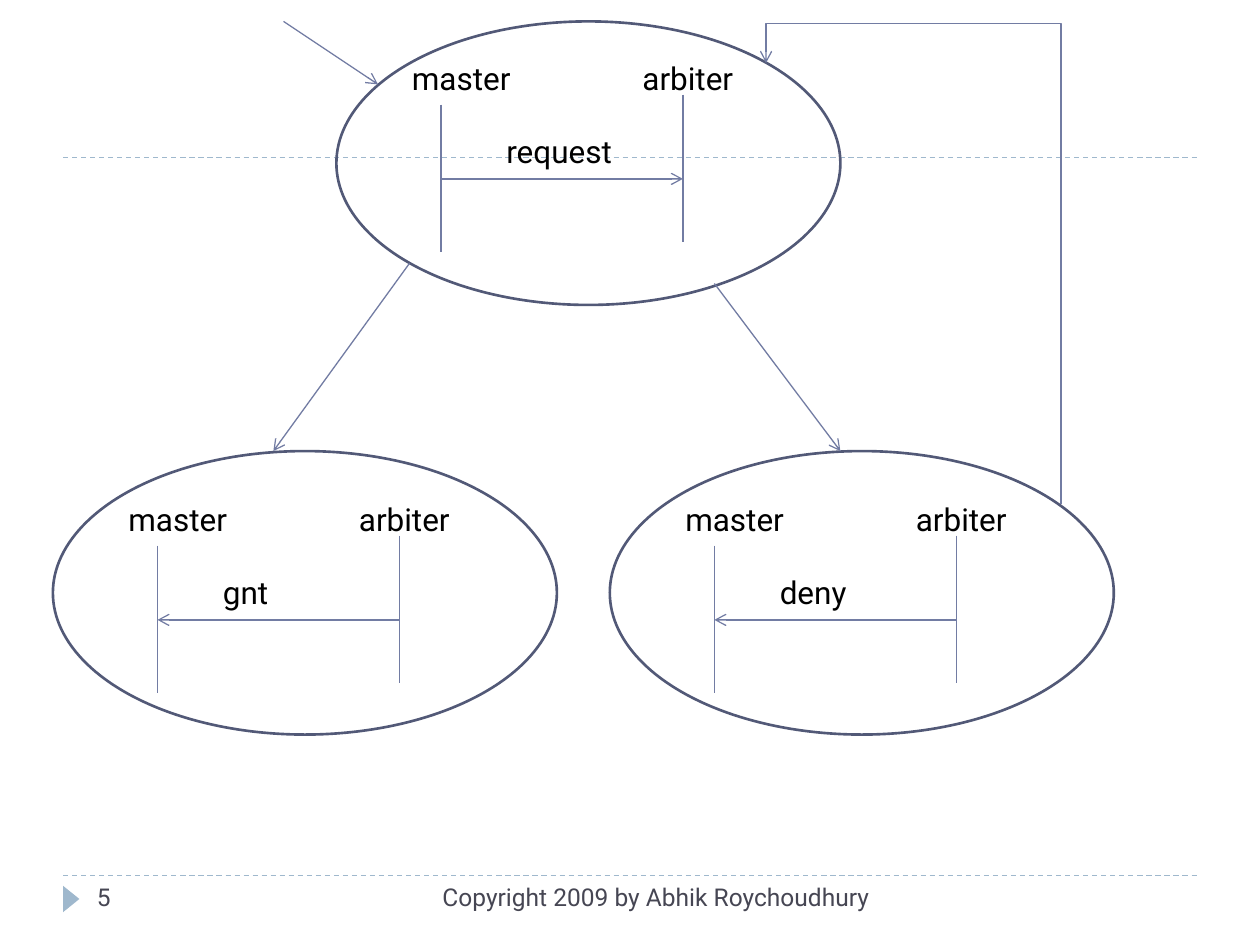
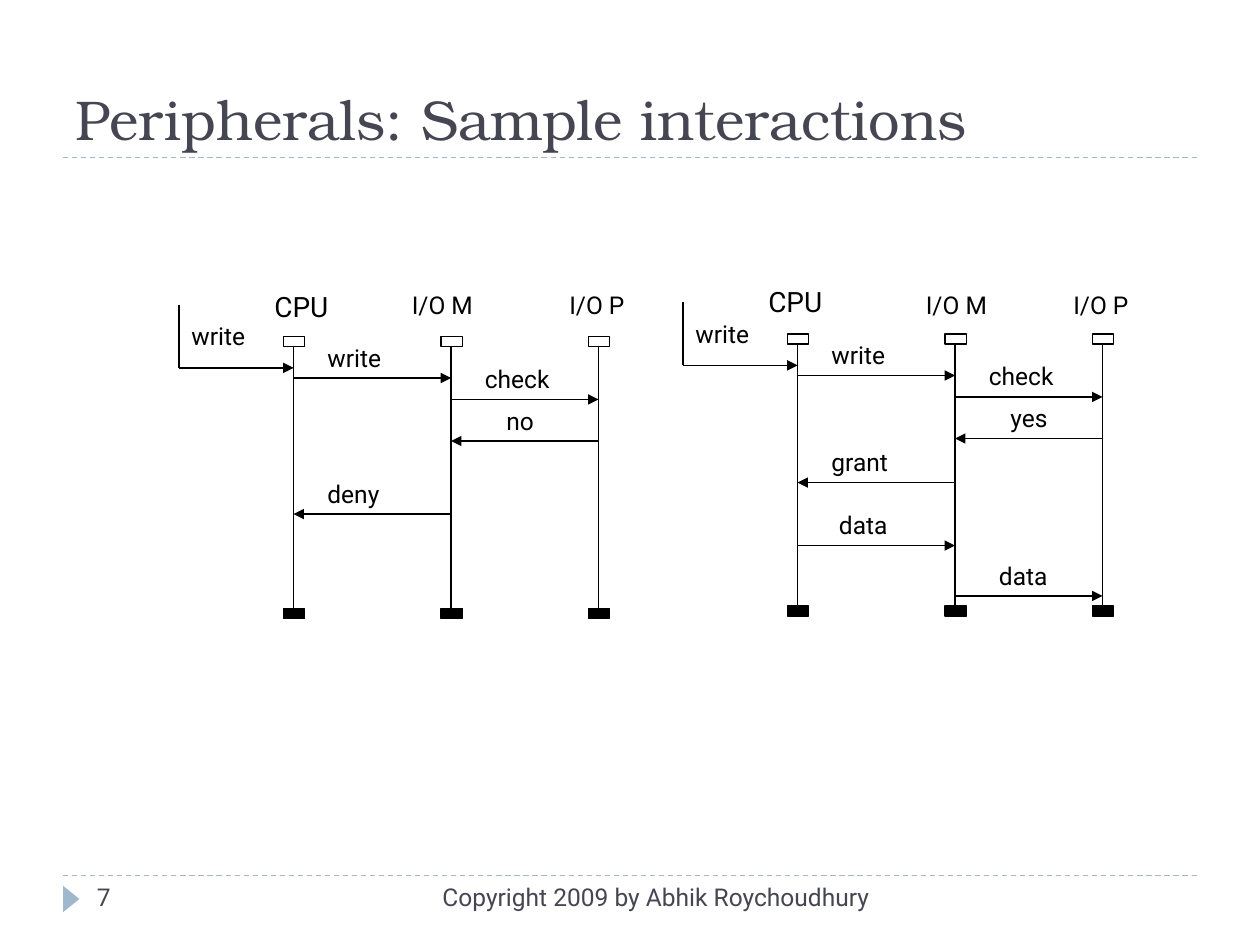
from lxml import etree
from pptx import Presentation
from pptx.dml.color import RGBColor
from pptx.enum.dml import MSO_LINE
from pptx.enum.shapes import MSO_CONNECTOR, MSO_SHAPE
from pptx.enum.text import MSO_ANCHOR, PP_ALIGN
from pptx.oxml.ns import qn
from pptx.util import Pt

PX = 9144
STRAIGHT, ELBOW = MSO_CONNECTOR.STRAIGHT, MSO_CONNECTOR.ELBOW
OVAL, RECTANGLE, TRIANGLE = MSO_SHAPE.OVAL, MSO_SHAPE.RECTANGLE, MSO_SHAPE.ISOSCELES_TRIANGLE
DASH = MSO_LINE.DASH
LEFT, RIGHT = PP_ALIGN.LEFT, PP_ALIGN.RIGHT
TOP, BOTTOM = MSO_ANCHOR.TOP, MSO_ANCHOR.BOTTOM
COLORS = {
    "ink": "000000",
    "heading": "464653",
    "accent": "9FB8CD",
    "arrow": "727CA3",
    "state": "525977",
}
BODY_FONT, TITLE_FONT = "Roboto", "TeX Gyre Bonum"


def color(name):
    return RGBColor.from_string(COLORS[name])


class SlideWriter:
    def __init__(self):
        self.deck = Presentation()
        self.deck.slide_width = 1000 * PX
        self.deck.slide_height = 750 * PX
        self.page = None

    def new_page(self, number, title=None):
        self.page = self.deck.slides.add_slide(self.deck.slide_layouts[6])
        for y in (695, 125):
            self.line((50, y), (950, y), "accent", dash=DASH)
        marker = self.shape(TRIANGLE, 46, 707, 21, 13, fill="accent")
        marker.rotation = 90
        if title:
            self.text(title, 50, 17, 900, 108, size=32, ink="heading",
                      font=TITLE_FONT, anchor=BOTTOM)
        self.text("Copyright 2009 by Abhik Roychoudhury", 317, 695, 383, 40,
                  ink="heading", align=RIGHT)
        self.text(str(number), 67, 695, 217, 40, ink="heading")

    def text(self, text, left, top, width, height=34, size=14, ink="ink",
             font=BODY_FONT, align=LEFT, anchor=TOP):
        box = self.page.shapes.add_textbox(left * PX, top * PX, width * PX, height * PX)
        frame = box.text_frame
        frame.word_wrap = True
        frame.vertical_anchor = anchor
        para = frame.paragraphs[0]
        para.alignment = align
        span = para.add_run()
        span.text = text
        span.font.name = font
        span.font.size = Pt(size)
        span.font.color.rgb = color(ink)

    def shape(self, kind, left, top, width, height, fill=None, outline=None, weight=0.75):
        shape = self.page.shapes.add_shape(kind, left * PX, top * PX, width * PX, height * PX)
        shape.shadow.inherit = False
        if fill:
            shape.fill.solid()
            shape.fill.fore_color.rgb = color(fill)
        else:
            shape.fill.background()
        if outline:
            shape.line.color.rgb = color(outline)
            shape.line.width = Pt(weight)
        else:
            shape.line.fill.background()
        return shape

    def line(self, start, end, ink, arrow=None, dash=None, kind=STRAIGHT):
        points = [round(value * PX) for value in (*start, *end)]
        connector = self.page.shapes.add_connector(kind, *points)
        connector.line.color.rgb = color(ink)
        connector.line.width = Pt(0.75)
        if dash:
            connector.line.dash_style = dash
        properties = connector._element.spPr
        if arrow:
            outline = properties.find(qn("a:ln"))
            etree.SubElement(outline, qn("a:tailEnd"), type=arrow)
        etree.SubElement(properties, qn("a:effectLst"))
        return connector

    def loop_back(self, start, end, peak, ink, arrow):
        (start_x, start_y), (end_x, end_y) = start, end
        center_x, center_y = (start_x + end_x) / 2, (start_y + end_y) / 2
        half_width, half_height = (start_y - end_y) / 2, (start_x - end_x) / 2
        connector = self.line((center_x - half_width, center_y + half_height),
                              (center_x + half_width, center_y - half_height),
                              ink, arrow, kind=ELBOW)
        properties = connector._element.spPr
        properties.find(qn("a:xfrm")).set("rot", "16200000")
        bend = round(100000 * (start_y - peak) / (start_y - end_y))
        guides = properties.find(qn("a:prstGeom")).find(qn("a:avLst"))
        etree.SubElement(guides, qn("a:gd"), name="adj1", fmla=f"val {bend}")

    def state(self, message, left, top, ellipse_top, reply=True):
        master, arbiter = left, left + 192
        self.line((master, top), (master, top + 117), "arrow")
        self.line((arbiter, top - 8), (arbiter, top + 109), "arrow")
        ends = [(master, top + 59), (arbiter, top + 59)]
        if reply:
            ends.reverse()
        self.line(*ends, "arrow", "arrow")
        for label, x, y in (("master", -33, -41), ("arbiter", 150, -41), (message, 42, 17)):
            self.text(label, left + x, top + y, 108, 40, size=18)
        self.shape(OVAL, left - 83, ellipse_top, 400, 225, outline="state", weight=1.5)

    def sequence(self, left, top, headings, messages):
        lifelines = [left + offset for offset in (91, 216, 333)]
        for x, (name, label_left, label_top, size) in zip(lifelines, headings):
            self.line((x, top + 8), (x, top + 216), "ink")
            self.shape(RECTANGLE, x - 8, top, 17, 8, outline="ink")
            self.shape(RECTANGLE, x - 8, top + 216, 17, 8, fill="ink", outline="ink")
            self.text(name, label_left, label_top, 83, size=size)
        self.line((left, top - 25), (left, top + 25), "ink")
        self.line((left, top + 25), (lifelines[0], top + 25), "ink", "triangle")
        self.text("write", left, top - 17, 75)
        for label, source, target, offset, indent in messages:
            y = top + offset
            self.line((lifelines[source], y), (lifelines[target], y), "ink", "triangle")
            self.text(label, lifelines[min(source, target)] + indent, y - 33, 92)


def arbitration_page(writer):
    writer.new_page(5)
    writer.state("request", 350, 83, 17, reply=False)
    writer.state("gnt", 125, 433, 358)
    writer.state("deny", 567, 433, 358)
    for start, end in (((225, 17), (300, 67)),
                       ((325, 209), (217, 358)),
                       ((567, 225), (667, 358))):
        writer.line(start, end, "arrow", "arrow")
    writer.loop_back((842, 400), (608, 50), 19, "arrow", "arrow")


def peripherals_page(writer):
    writer.new_page(7, "Peripherals: Sample interactions")
    opening = [("write", 0, 1, 33, 17), ("check", 1, 2, 50, 17)]
    writer.sequence(
        142, 267,
        [("CPU", 208, 225, 16), ("I/O M", 317, 225, 14), ("I/O P", 442, 225, 14)],
        opening + [("no", 2, 1, 83, 34), ("deny", 1, 0, 141, 17)])
    writer.sequence(
        542, 265,
        [("CPU", 600, 221, 16), ("I/O M", 725, 225, 14), ("I/O P", 842, 225, 14)],
        opening + [("yes", 2, 1, 83, 34), ("grant", 1, 0, 118, 17),
                   ("data", 0, 1, 168, 23), ("data", 1, 2, 208, 25)])


def main():
    writer = SlideWriter()
    arbitration_page(writer)
    peripherals_page(writer)
    writer.deck.save("out.pptx")


if __name__ == "__main__":
    main()
